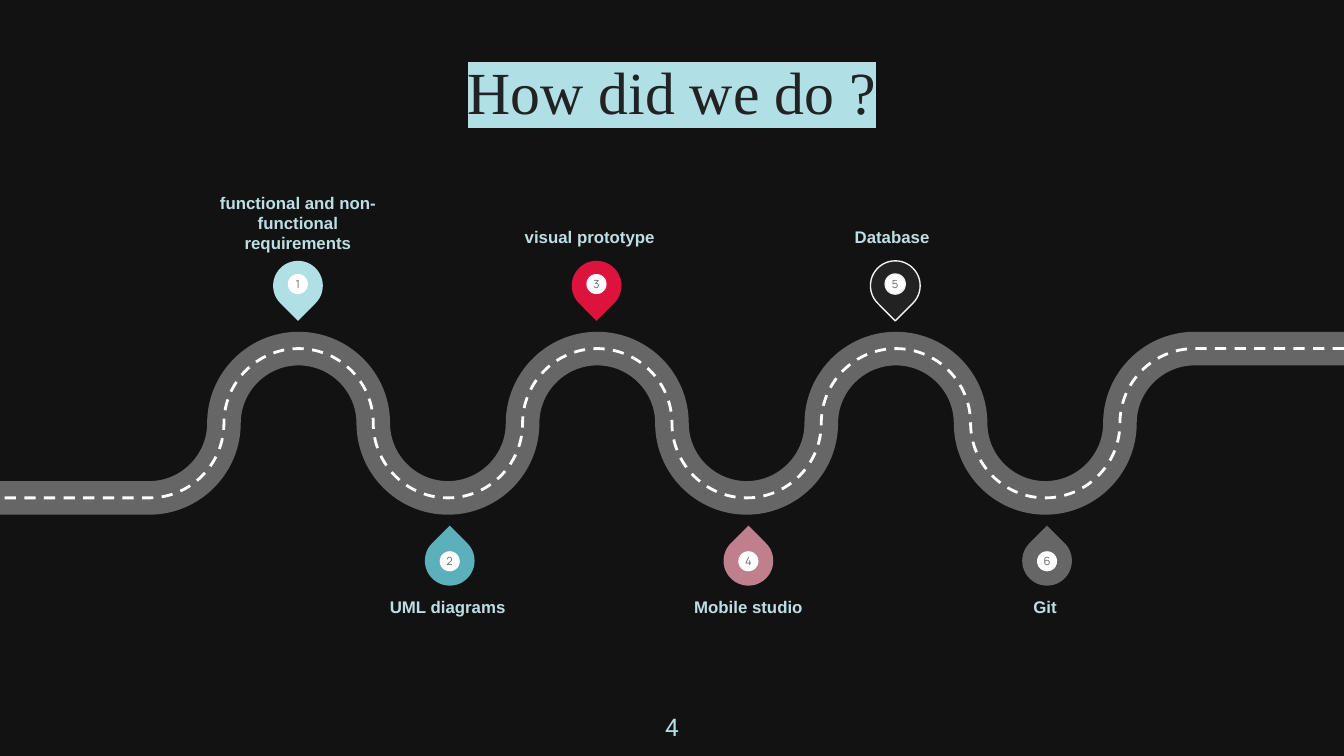
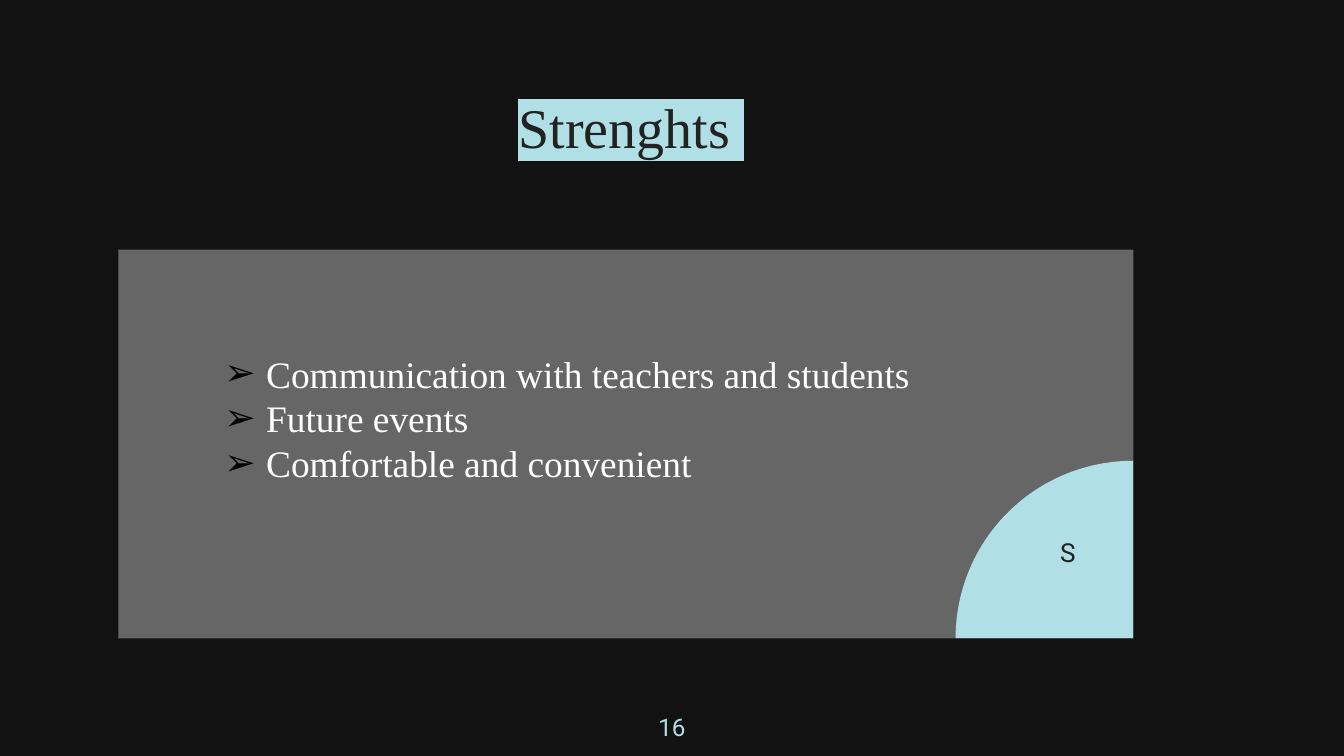
from lxml import etree
from pptx import Presentation
from pptx.dml.color import RGBColor
from pptx.enum.dml import MSO_LINE
from pptx.enum.shapes import MSO_SHAPE
from pptx.enum.text import MSO_ANCHOR, MSO_AUTO_SIZE, PP_ALIGN
from pptx.oxml.ns import qn
from pptx.util import Cm, Pt

TOP, MIDDLE, BOTTOM = MSO_ANCHOR.TOP, MSO_ANCHOR.MIDDLE, MSO_ANCHOR.BOTTOM
LEFT, CENTER = PP_ALIGN.LEFT, PP_ALIGN.CENTER
DASH = MSO_LINE.DASH
RECTANGLE, ELLIPSE = MSO_SHAPE.RECTANGLE, MSO_SHAPE.OVAL
TEARDROP, PIE = MSO_SHAPE.TEAR, MSO_SHAPE.PIE

COLORS = {
    "backdrop": "121212", "ink": "222222", "powder": "B0E0E6", "label": "BDDFE4",
    "gray": "666666", "white": "FFFFFF", "outline": "F3F3F3", "black": "000000",
    "crimson": "DC143C", "rose": "C07F8C", "teal": "5BB0BB",
}
SERIF, SANS, PAGE_FONT, PIN_FONT = "Times New Roman", "Arial", "Roboto", "Manrope"

PAGE_WIDTH, PAGE_HEIGHT = 25.4, 14.29
BEND = PAGE_WIDTH / 9          # width of one half-wave of the road
ROAD_TOP = 6.59
CURVE = 0.55                   # control point distance for a quarter circle
PIN_SIZE, DOT_SIZE = 0.94, 0.38
LABEL_WIDTH = 3.58

# Pins above and below the road: first centre, pin top, dot top, rotation
ABOVE = {"first": 5.63, "pin": 4.93, "dot": 5.18, "turn": 135}
BELOW = {"first": 8.5, "pin": 10.13, "dot": 10.42, "turn": 315}

# Side, number, pin colour, outline, label, label centre shift, label top, label height
MILESTONES = [
    (ABOVE, 1, "powder", None, "functional and non-functional requirements", 0, 3.68, 1.1),
    (ABOVE, 3, "crimson", None, "visual prototype", -0.13, 3.2, 1.47),
    (ABOVE, 5, "ink", "outline", "Database", -0.06, 3.2, 1.47),
    (BELOW, 2, "teal", None, "UML diagrams", -0.04, 11.28, 1.47),
    (BELOW, 4, "rose", None, "Mobile studio", 0, 11.28, 1.47),
    (BELOW, 6, "gray", None, "Git", -0.04, 11.28, 1.47),
]
STRENGTHS = [
    "Communication with teachers and students",
    "Future events",
    "Comfortable and convenient",
]


def rgb(name):
    return RGBColor.from_string(COLORS[name])


def style_font(font, name, size, color, bold=False):
    font.size, font.bold = Pt(size), bold
    font.color.rgb = rgb(color)
    font.name = name


def set_frame(frame, anchor=TOP, insets=(0, 0, 0, 0)):
    frame.word_wrap = True
    frame.auto_size = MSO_AUTO_SIZE.NONE
    frame.vertical_anchor = anchor
    (frame.margin_left, frame.margin_top,
     frame.margin_right, frame.margin_bottom) = (Cm(inset) for inset in insets)


def add_bullet(para, char, indent):
    properties = para._p.get_or_add_pPr()
    properties.set("marL", str(Cm(indent)))
    properties.set("indent", str(-Cm(indent)))
    color = etree.SubElement(properties, qn("a:buClr"))
    etree.SubElement(color, qn("a:srgbClr"), val=COLORS["black"])
    etree.SubElement(properties, qn("a:buFont"), typeface=SANS)
    etree.SubElement(properties, qn("a:buChar"), char=char)


def write(frame, lines, font, align=CENTER, bullet=None):
    for index, line in enumerate(lines):
        para = frame.add_paragraph() if index else frame.paragraphs[0]
        para.text = line
        para.alignment = align
        if bullet:
            add_bullet(para, bullet, 0.79)
        style_font(para.font, *font)


def add_text(page, area, lines, font, anchor=TOP, insets=(0, 0, 0, 0), **options):
    box = page.shapes.add_textbox(*(Cm(length) for length in area))
    set_frame(box.text_frame, anchor, insets)
    write(box.text_frame, lines, font, **options)


def add_shape(shapes, kind, area, fill, outline=None):
    shape = shapes.add_shape(kind, *(Cm(length) for length in area))
    shape.shadow.inherit = False
    shape.fill.solid()
    shape.fill.fore_color.rgb = rgb(fill)
    if outline:
        shape.line.color.rgb = rgb(outline)
        shape.line.width = Pt(0.75)
    else:
        shape.line.fill.background()
    return shape


def add_page(deck, title, title_area, title_size, number):
    page = deck.slides.add_slide(deck.slide_layouts[5])
    box = page.shapes.title
    box.left, box.top, box.width, box.height = (Cm(length) for length in title_area)
    set_frame(box.text_frame, TOP, (0.25, 0.38, 0.25, 0.25))
    para = box.text_frame.paragraphs[0]
    para.alignment = CENTER
    span = para.add_run()
    span.text = title
    style_font(span.font, SERIF, title_size, "ink")
    # The highlight stands between the text colour and the typeface
    highlight = etree.Element(qn("a:highlight"))
    etree.SubElement(highlight, qn("a:srgbClr"), val=COLORS["powder"])
    span._r.rPr.find(qn("a:solidFill")).addnext(highlight)
    # Page number
    add_text(page, (11.94, 13.21, 1.52, 0.86), [str(number)],
             (PAGE_FONT, 13, "powder"), insets=(0.25, 0.25, 0.25, 0.25))
    return page


def road_points():
    """Straight end, then two quarter circles of three points per bend."""
    radius = BEND / 2
    middle = ROAD_TOP + radius
    points = [(PAGE_WIDTH, ROAD_TOP), (8 * BEND, ROAD_TOP)]
    for bend in range(8, 1, -1):
        start, end = bend * BEND, (bend - 1) * BEND
        rise = radius if bend % 2 else -radius
        start_y, end_y = middle + rise, middle - rise
        center = start - radius
        points += [
            (start - CURVE * radius, start_y), (center, middle + CURVE * rise), (center, middle),
            (center, middle - CURVE * rise), (end + CURVE * radius, end_y), (end, end_y),
        ]
    return points + [(0, ROAD_TOP + BEND)]


def add_road(page, color, width, dash=None):
    first, *others = [(Cm(x), Cm(y)) for x, y in road_points()]
    builder = page.shapes.build_freeform(*first)
    builder.add_line_segments(others, close=False)
    road = builder.convert_to_shape()
    # Join each three inner points into one curve
    segments = list(road._element.iter(qn("a:lnTo")))[1:-1]
    for index in range(0, len(segments), 3):
        curve = etree.Element(qn("a:cubicBezTo"))
        segments[index].addprevious(curve)
        for segment in segments[index:index + 3]:
            curve.append(segment[0])
            segment.getparent().remove(segment)
    road.shadow.inherit = False
    road.fill.background()
    road.line.color.rgb = rgb(color)
    road.line.width = Pt(width)
    if dash:
        road.line.dash_style = dash


def add_pin(page, side, center, number, fill, outline):
    group = page.shapes.add_group_shape()
    area = (center - PIN_SIZE / 2, side["pin"], PIN_SIZE, PIN_SIZE)
    pin = add_shape(group.shapes, TEARDROP, area, fill, outline)
    pin.rotation = side["turn"]
    area = (center - DOT_SIZE / 2, side["dot"], DOT_SIZE, DOT_SIZE)
    dot = add_shape(group.shapes, ELLIPSE, area, "white", outline)
    set_frame(dot.text_frame, MIDDLE)
    write(dot.text_frame, [str(number)], (PIN_FONT, 6, "gray"))


def add_milestone(page, side, number, fill, outline, label, shift, top, height):
    center = side["first"] + (number - 1) // 2 * 2 * BEND
    add_pin(page, side, center, number, fill, outline)
    area = (center + shift - LABEL_WIDTH / 2, top, LABEL_WIDTH, height)
    add_text(page, area, [label], (SANS, 9, "label", True),
             BOTTOM if side is ABOVE else TOP)


def build_roadmap(deck):
    page = add_page(deck, "How did we do ?", (1.27, 0.66, 22.86, 1.3), 32, 4)
    add_road(page, "gray", 18)
    add_road(page, "white", 1.5, DASH)
    for milestone in MILESTONES:
        add_milestone(page, *milestone)


def build_strengths(deck):
    page = add_page(deck, "Strenghts ", (0.5, 1.37, 22.86, 1.3), 30, 16)
    # Panel with a quarter circle in its lower right corner
    add_shape(page.shapes, RECTANGLE, (2.24, 4.72, 19.18, 7.35), "gray")
    corner = add_shape(page.shapes, PIE, (18.06, 8.71, 6.71, 6.71), "powder")
    corner.adjustments[0], corner.adjustments[1] = 108, 162
    insets = (0.25, 0.13, 0.25, 0.13)
    add_text(page, (19.74, 10.01, 0.89, 1.24), ["S"], (PAGE_FONT, 14, "ink"), insets=insets)
    # Bullet list
    add_text(page, (3.99, 6.5, 14.27, 4.52), STRENGTHS, (SERIF, 20, "white"),
             insets=insets, align=LEFT, bullet="➢")


def main():
    deck = Presentation()
    deck.slide_width, deck.slide_height = Cm(PAGE_WIDTH), Cm(PAGE_HEIGHT)
    backdrop = deck.slide_master.background.fill
    backdrop.solid()
    backdrop.fore_color.rgb = rgb("backdrop")
    build_roadmap(deck)
    build_strengths(deck)
    deck.save("out.pptx")


if __name__ == "__main__":
    main()
